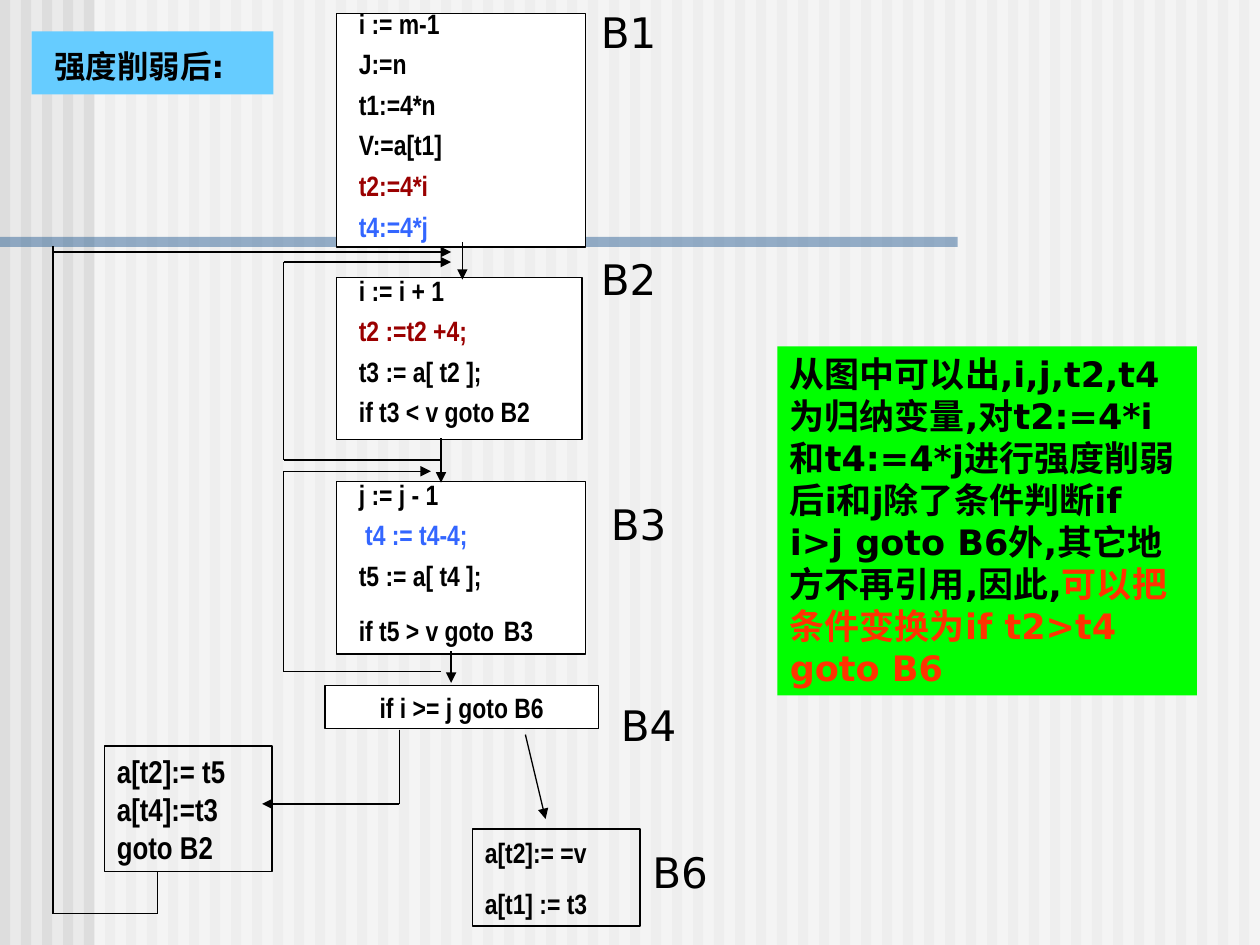
from itertools import pairwise

from lxml.etree import SubElement
from pptx import Presentation
from pptx.dml.color import RGBColor
from pptx.enum.shapes import MSO_CONNECTOR, MSO_SHAPE
from pptx.enum.text import MSO_ANCHOR, PP_ALIGN
from pptx.oxml.ns import qn
from pptx.util import Inches, Pt

BLACK = RGBColor(0, 0, 0)
WHITE = RGBColor(0xFF, 0xFF, 0xFF)
PAPER = RGBColor(0xEA, 0xEA, 0xEA)
STRIPE = RGBColor(0xDD, 0xDD, 0xDD)
BAR = RGBColor(0x33, 0x66, 0x99)
RED = RGBColor(0x9A, 0, 0)
BLUE = RGBColor(0x33, 0x66, 0xFF)
SKY = RGBColor(0x66, 0xCC, 0xFF)
GREEN = RGBColor(0, 0xFF, 0)
ORANGE = RGBColor(0xFF, 0x33, 0)
CODE_FONT, BODY_FONT = "Arial Narrow", "DejaVu Sans"

# Text is a list of lines; a line is a list of (text, colour[, size]) runs
TITLE = [[("强度削弱后:", BLACK)]]
NOTE = [[
    ("从图中可以出,i,j,t2,t4为归纳变量,对t2:=4*i和t4:=4*j进行强度削弱后i和j"
     "除了条件判断if i>j goto B6外,其它地方不再引用,因此,", BLACK),
    ("可以把条件变换为if t2>t4 goto B6", ORANGE),
]]

# Basic blocks: frame, text area, lines
BLOCKS = [
    ((2.67, 0.11, 1.98, 1.85), (2.75, 0, 5.16, 1.98), [
        [("i := m-1", BLACK)], [("J:=n", BLACK)], [("t1:=4*n", BLACK)],
        [("V:=a[t1]", BLACK)], [("t2:=4*i", RED)], [("t4:=4*j", BLUE)]]),
    ((2.67, 2.2, 1.95, 1.29), (2.75, 2.12, 5.08, 1.34), [
        [("i := i + 1", BLACK)], [("t2 :=t2 +4;", RED)],
        [("t3 := a[ t2 ];", BLACK)], [("if t3 < v goto B2", BLACK)]]),
    ((2.67, 3.82, 1.98, 1.37), (2.75, 3.74, 5.16, 1.47), [
        [("j := j - 1", BLACK)], [(" t4 := t4-4;", BLUE)],
        [("t5 := a[ t4 ];", BLACK)],
        [("if t5 > v goto", BLACK), (" ", BLACK, 24), ("B3", BLACK)]]),
]
TEST = [[("if i >= j goto B6", BLACK)]]
SWAP = [[("a[t2]:= t5", BLACK)], [("a[t4]:=t3", BLACK)], [("goto B2", BLACK)]]
EXIT = [[("a[t2]:= =v", BLACK)], [("a[t1] := t3", BLACK)]]

LABELS = [("B1", 4.67, 0), ("B2", 4.67, 1.96), ("B3", 4.75, 3.91),
          ("B4", 4.83, 5.5), ("B6", 5.08, 6.67)]

# Flow routes: corner points, arrowhead at the end
ROUTES = [
    ([(3.67, 1.92), (3.67, 2.22)], True),
    ([(3.5, 3.48), (3.5, 3.83)], True),
    ([(3.58, 5.17), (3.58, 5.42)], True),
    ([(4.17, 5.83), (4.33, 6.5)], True),
    ([(3.5, 3.65), (2.25, 3.65), (2.25, 2.08), (3.58, 2.08)], True),
    ([(3.5, 5.33), (2.25, 5.33), (2.25, 3.74), (3.42, 3.74)], True),
    ([(3.17, 5.79), (3.17, 6.38), (2.08, 6.38)], True),
    ([(1.25, 6.92), (1.25, 7.25), (0.42, 7.25), (0.42, 1.95)], False),
    ([(0.42, 2), (3.58, 2)], True),
]

prs = Presentation()
prs.slide_width, prs.slide_height = Inches(10), Inches(7.5)
s = prs.slides.add_slide(prs.slide_layouts[6])
s.background.fill.solid()
s.background.fill.fore_color.rgb = PAPER


def add_box(at, fill=None, outlined=False, alpha=None):
    sp = s.shapes.add_shape(MSO_SHAPE.RECTANGLE, *map(Inches, at))
    sp.shadow.inherit = False
    if fill is None:
        sp.fill.background()
    else:
        sp.fill.solid()
        sp.fill.fore_color.rgb = fill
    if alpha is not None:
        color = sp.fill._xPr.find(qn("a:solidFill"))[0]
        SubElement(color, qn("a:alpha"), val=str(alpha * 1000))
    if outlined:
        sp.line.color.rgb = BLACK
        sp.line.width = Pt(0.75)
    else:
        sp.line.fill.background()
    return sp


def write(sp, lines, size, font=CODE_FONT, bold=True, gap=0,
          align=PP_ALIGN.LEFT, anchor=MSO_ANCHOR.TOP, wrap=True):
    tf = sp.text_frame
    tf.word_wrap = wrap
    tf.vertical_anchor = anchor
    for i, line in enumerate(lines):
        p = tf.add_paragraph() if i else tf.paragraphs[0]
        p.alignment = align
        if i:
            p.space_before = Pt(gap)
        p.font.name, p.font.size, p.font.bold = font, Pt(size), bold
        for text, color, *run_size in line:
            r = p.add_run()
            r.text = text
            r.font.color.rgb = color
            if run_size:
                r.font.size = Pt(run_size[0])
    return tf


def add_text(at, lines, size, **style):
    write(s.shapes.add_textbox(*map(Inches, at)), lines, size, **style)


def add_line(start, end, arrow):
    c = s.shapes.add_connector(MSO_CONNECTOR.STRAIGHT,
                               *map(Inches, start + end))
    c.line.color.rgb = BLACK
    c.line.width = Pt(0.75)
    if arrow:
        SubElement(c.line._get_or_add_ln(), qn("a:tailEnd"), type="triangle")
    SubElement(c._element.spPr, qn("a:effectLst"))


# Striped backdrop, veil and horizontal bar
for i in range(60):
    add_box((i / 6, 0, 0.08, 7.5), STRIPE)
add_box((0.75, 0, 9.25, 7.5), WHITE, alpha=50)
add_box((0, 1.88, 7.6, 0.08), BAR, alpha=50)

# Basic blocks and their labels
for frame, area, lines in BLOCKS:
    add_box(frame, WHITE, outlined=True)
    add_text(area, lines, 16, gap=4)
write(add_box((2.58, 5.44, 2.17, 0.34), WHITE, outlined=True), TEST, 16,
      align=PP_ALIGN.CENTER, anchor=MSO_ANCHOR.MIDDLE, wrap=False)
write(add_box((0.83, 5.92, 1.33, 1), outlined=True), SWAP, 18)
write(add_box((3.75, 6.58, 1.33, 0.77), outlined=True), EXIT, 16, gap=10)
for name, x, y in LABELS:
    add_text((x, y, 0.67, 0.5), [[(name, BLACK)]], 24,
             font=BODY_FONT, bold=False)

# Control flow
for points, arrow in ROUTES:
    for start, end in pairwise(points):
        add_line(start, end, arrow and end == points[-1])

# Title and explanation
tf = write(add_box((0.25, 0.25, 1.92, 0.5), SKY), TITLE, 18, font=BODY_FONT)
tf.margin_left, tf.margin_right, tf.margin_top = Inches(0.18), 0, Inches(0.12)
write(add_box((6.17, 2.75, 3.33, 2.77), GREEN), NOTE, 20, font=BODY_FONT)

prs.save("out.pptx")
